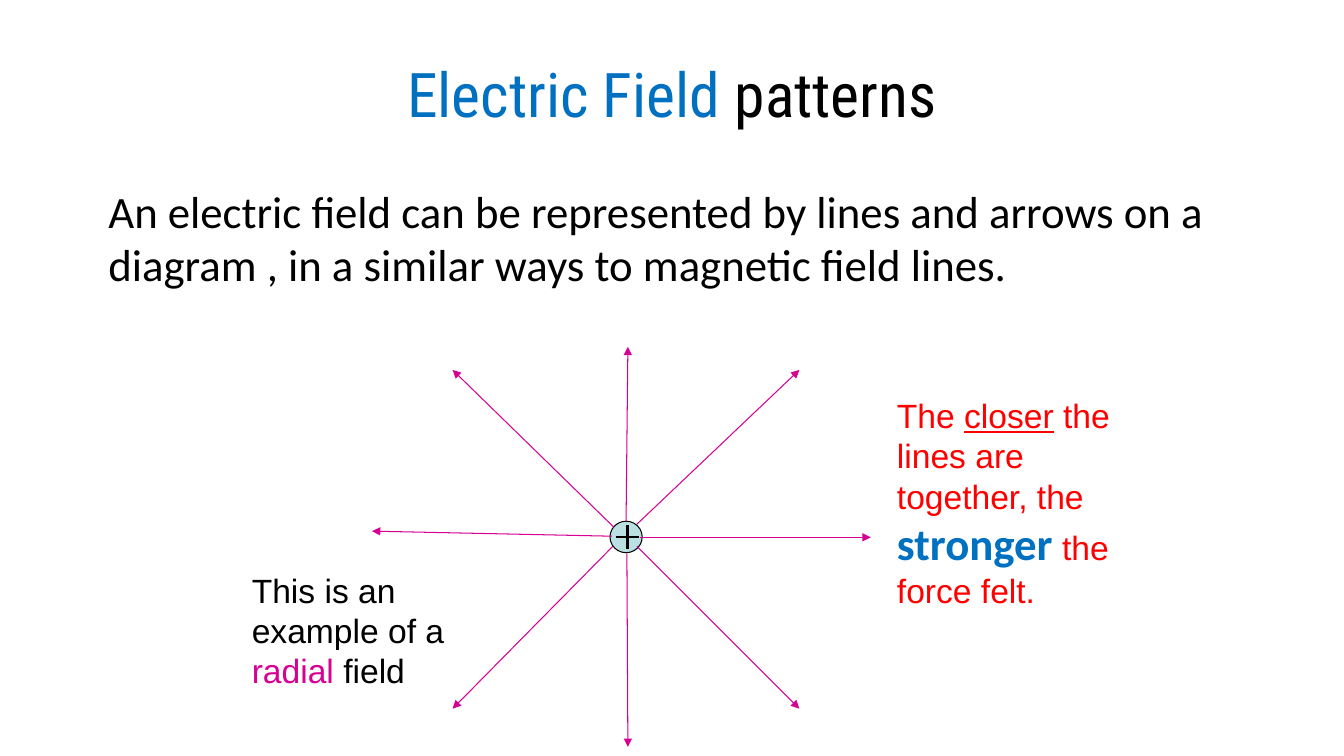
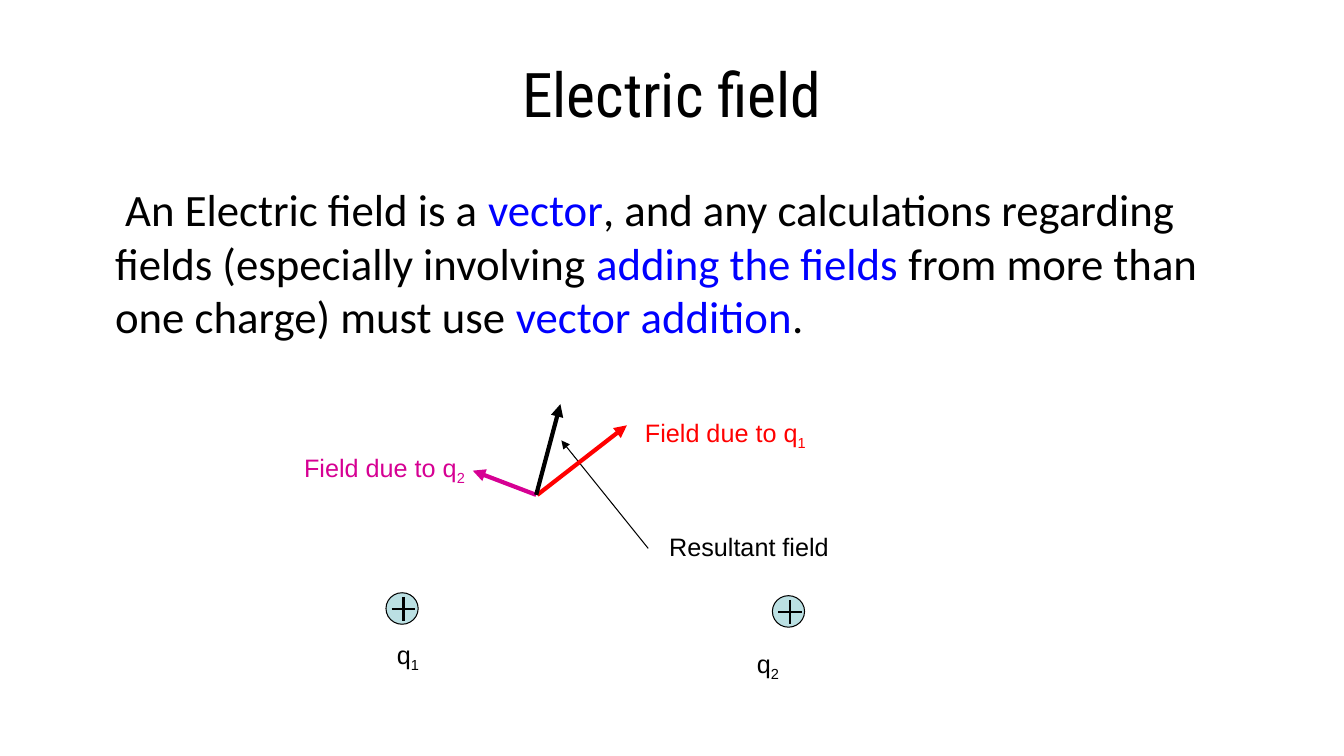
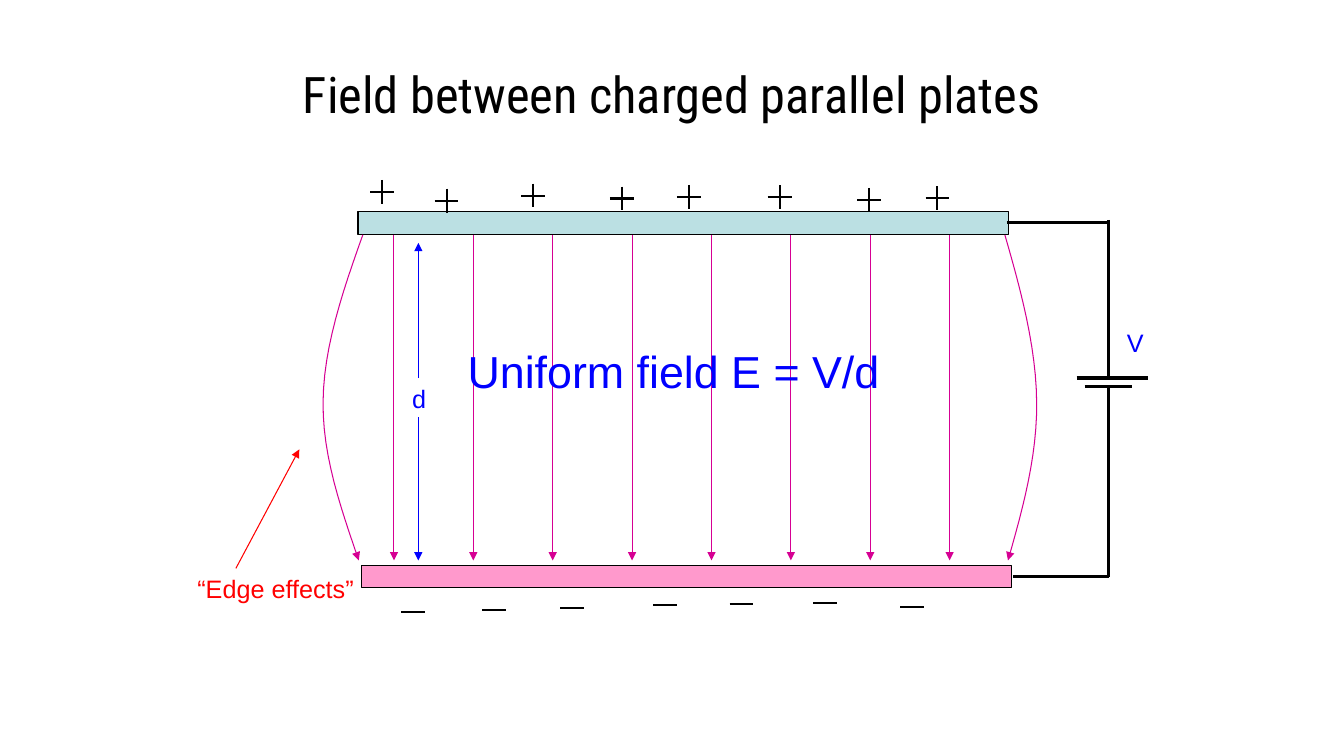
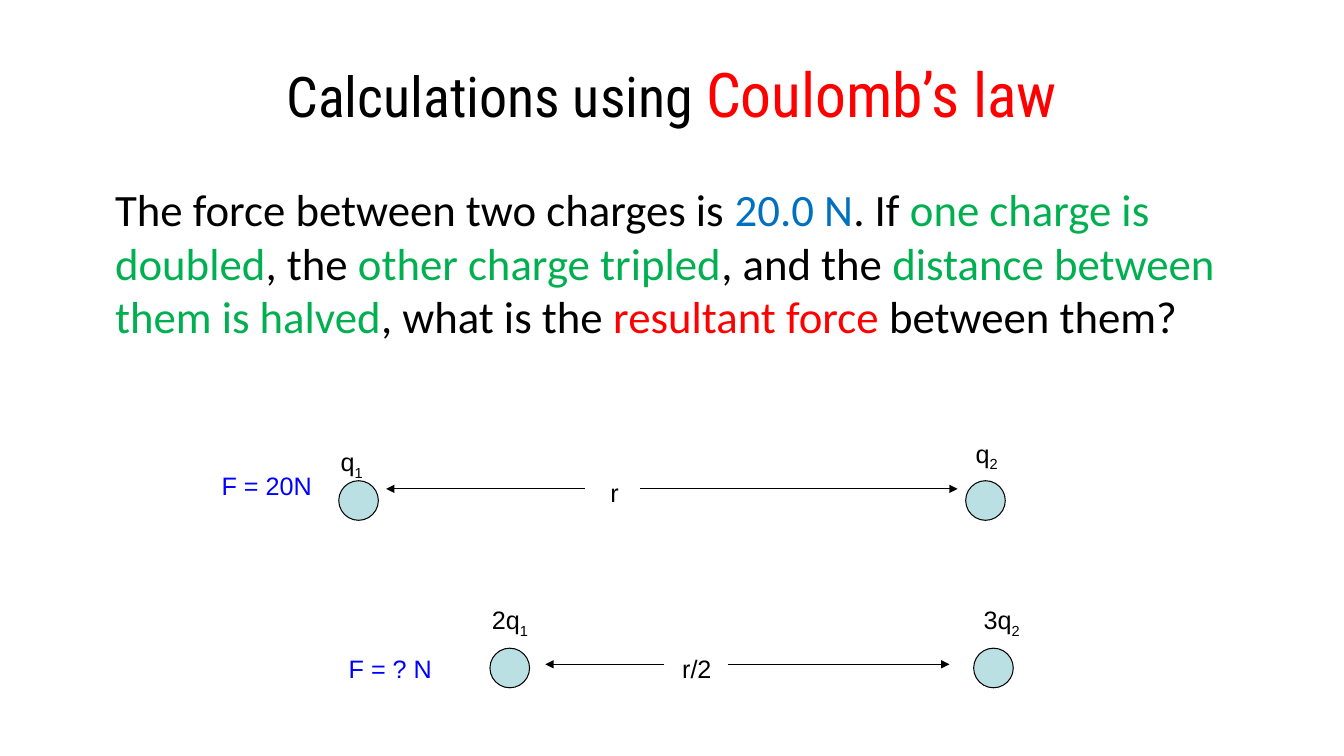
from dataclasses import dataclass
from itertools import pairwise

from lxml.etree import SubElement
from pptx import Presentation
from pptx.dml.color import RGBColor
from pptx.enum.shapes import MSO_CONNECTOR, MSO_SHAPE
from pptx.enum.text import MSO_ANCHOR, MSO_AUTO_SIZE, PP_ALIGN
from pptx.oxml.ns import qn
from pptx.util import Pt

# Colours and fonts
BLACK = RGBColor(0x00, 0x00, 0x00)
RED = RGBColor(0xFF, 0x00, 0x00)
BLUE = RGBColor(0x00, 0x00, 0xFF)
AZURE = RGBColor(0x00, 0x70, 0xC0)
GREEN = RGBColor(0x00, 0xB0, 0x50)
PURPLE = RGBColor(0xD6, 0x00, 0x93)
AQUA = RGBColor(0xBB, 0xE0, 0xE3)
PINK = RGBColor(0xFF, 0x99, 0xCC)
HEAD, BODY, LABEL = "Roboto Condensed", "Calibri", "Arial"


@dataclass
class Run:
    text: str
    color: RGBColor = BLACK
    size: float = 0
    font: str = ""
    bold: bool = False
    under: bool = False
    sub: bool = False


class Deck:
    """The shared style and the current slide."""

    def __init__(self):
        self.prs = Presentation()
        self.prs.slide_width, self.prs.slide_height = Pt(960), Pt(540)
        self.slide = None

    def place(self, shape, left, top, width, height):
        shape.left, shape.top = Pt(left), Pt(top)
        shape.width, shape.height = Pt(width), Pt(height)

    def fill(self, para, runs, font, size):
        for part in runs:
            run = para.add_run()
            run.text = part.text
            run.font.name = part.font or font
            run.font.size = Pt(part.size or size)
            run.font.color.rgb = part.color
            run.font.bold = part.bold
            run.font.underline = part.under
            if part.sub:
                run.font._element.set("baseline", "-25000")

    def start(self, *runs, size=44, layout=1):
        """Open a slide with its centred title."""
        self.slide = self.prs.slides.add_slide(self.prs.slide_layouts[layout])
        title = self.slide.shapes.title
        self.place(title, 48, 21.6, 864, 90)
        frame = title.text_frame
        frame.auto_size = MSO_AUTO_SIZE.NONE
        frame.vertical_anchor = MSO_ANCHOR.MIDDLE
        frame.paragraphs[0].alignment = PP_ALIGN.CENTER
        self.fill(frame.paragraphs[0], runs, HEAD, size)

    def body(self, *runs, left=48, top=126, width=864):
        """Fill the body with one indented paragraph without a bullet."""
        shape = self.slide.placeholders[1]
        self.place(shape, left, top, width, 356.4)
        shape.text_frame.auto_size = MSO_AUTO_SIZE.NONE
        para = shape.text_frame.paragraphs[0]
        props = para._p.get_or_add_pPr()
        props.set("marL", str(Pt(27)))
        props.set("indent", "0")
        SubElement(props, qn("a:buNone"))
        self.fill(para, runs, BODY, 32)

    def label(self, left, top, width, *runs, size=18, height=28.8):
        box = self.slide.shapes.add_textbox(
            Pt(left), Pt(top), Pt(width), Pt(height))
        frame = box.text_frame
        frame.word_wrap = True
        frame.auto_size = MSO_AUTO_SIZE.SHAPE_TO_FIT_TEXT
        self.fill(frame.paragraphs[0], runs, LABEL, size)

    def point(self, left, top, width, name, index, color=BLACK):
        """Label with a subscript."""
        self.label(left, top, width, Run(name, color),
                   Run(index, color, sub=True))

    def shape(self, kind, left, top, width, height, fill=AQUA):
        shape = self.slide.shapes.add_shape(
            kind, Pt(left), Pt(top), Pt(width), Pt(height))
        shape.shadow.inherit = False
        shape.fill.solid()
        shape.fill.fore_color.rgb = fill
        shape.line.color.rgb = BLACK
        shape.line.width = Pt(0.75)

    def stroke(self, shape, color, width, arrow):
        shape.line.color.rgb = color
        shape.line.width = Pt(width)
        if arrow:
            line = shape.element.spPr.find(qn("a:ln"))
            SubElement(line, qn("a:tailEnd"), type="triangle")

    def line(self, start, end, color=BLACK, width=0.75, arrow=False):
        link = self.slide.shapes.add_connector(
            MSO_CONNECTOR.STRAIGHT, *map(Pt, start + end))
        self.stroke(link, color, width, arrow)
        SubElement(link.element.spPr, qn("a:effectLst"))

    def arrow(self, start, end, color=BLACK, width=0.75):
        self.line(start, end, color, width, arrow=True)

    def curve(self, *knots, steps=12):
        """Arrow along joined cubic Bezier arcs."""
        dots = []
        for first in range(0, len(knots) - 1, 3):
            arc = knots[first:first + 4]
            for step in range(1, steps + 1):
                t = step / steps
                s = 1 - t
                mix = (s**3, 3 * s * s * t, 3 * s * t * t, t**3)
                dots.append(tuple(
                    Pt(sum(m * k[axis] for m, k in zip(mix, arc)))
                    for axis in (0, 1)))
        pen = self.slide.shapes.build_freeform(*map(Pt, knots[0]))
        pen.add_line_segments(dots, close=False)
        shape = pen.convert_to_shape()
        shape.shadow.inherit = False
        shape.fill.background()
        self.stroke(shape, PURPLE, 0.75, True)

    def minus(self, x, y):
        self.line((x - 8.5, y), (x + 8.5, y), width=1.5)

    def plus(self, x, y):
        self.minus(x, y)
        self.line((x, y - 8.5), (x, y + 8.5), width=1.5)

    def charge(self, x, y):
        self.shape(MSO_SHAPE.OVAL, x - 12.5, y - 11.5, 23, 22.5)
        self.plus(x, y)


def radial(deck):
    deck.start(Run("Electric Field ", AZURE), Run("patterns"))
    deck.body(Run("An electric field can be represented by lines and arrows "
                  "on a diagram , in a similar ways to magnetic field lines."),
              left=43.2, top=127.4, width=879)
    deck.charge(448.2, 383.8)
    # Field lines
    rays = [((455, 374.4), (571, 264.2)), ((457.2, 383.8), (622, 383.8)),
            ((455, 390.2), (571, 506.2)), ((447.8, 395.3), (448.5, 533.5)),
            ((437.8, 390.2), (323.3, 506.2)), ((437, 383), (265.7, 379.4)),
            ((438.5, 376.6), (323.3, 264.2)), ((447.2, 372.2), (448.5, 247.7))]
    for start, end in rays:
        deck.arrow(start, end, PURPLE)
    # Remarks
    deck.label(633.6, 278.6, 195.8, Run("The ", RED),
               Run("closer", RED, under=True),
               Run(" the lines are together, the ", RED),
               Run("stronger", AZURE, 32, BODY, bold=True),
               Run(" the force felt.", RED), size=24, height=162.7)
    deck.label(172.8, 403.2, 211, Run("This is an example of a "),
               Run("radial", PURPLE), Run(" field"), size=24, height=94.3)


def vectors(deck):
    deck.start(Run("Electric field"))
    deck.body(Run(" An Electric field is a "), Run("vector", BLUE),
              Run(", and any calculations regarding fields "
                  "(especially involving "),
              Run("adding the fields", BLUE),
              Run(" from more than one charge) must use "),
              Run("vector addition", BLUE), Run("."))
    # Charges
    deck.charge(288.2, 434.9)
    deck.charge(564.2, 437)
    deck.point(276.5, 452.9, 52.6, "q", "1")
    deck.point(533.5, 459.4, 52.6, "q", "2")
    # Field vectors
    deck.arrow((463, 391.7), (401, 314.6))
    deck.label(470.9, 375.8, 200, Run("Resultant field"))
    deck.arrow((383.8, 353.5), (447.8, 303.8), RED, 3)
    deck.point(453.6, 294.5, 228, "Field due to q", "1", RED)
    deck.arrow((383, 353.5), (337.7, 336.2), PURPLE, 3)
    deck.point(210.2, 319.7, 146.2, "Field due to q", "2", PURPLE)
    deck.arrow((383, 353.5), (400.3, 288.7), BLACK, 3)


def plates(deck):
    deck.start(Run("Field between charged parallel plates"),
               size=36, layout=5)
    # Plates and their charges
    deck.shape(MSO_SHAPE.RECTANGLE, 255.7, 151.4, 464.4, 16)
    for spot in [(272.9, 137), (319, 143.3), (380.9, 139.7), (444.2, 141.8),
                 (492, 140.5), (556.9, 140.8), (621, 142.7), (669.6, 141.4)]:
        deck.plus(*spot)
    deck.shape(MSO_SHAPE.RECTANGLE, 258.3, 404, 464.4, 16, PINK)
    for spot in [(295.2, 437), (352.8, 435.6), (408.6, 434.2), (475.2, 432),
                 (529.6, 431.3), (589.3, 430.6), (651.6, 433.4)]:
        deck.minus(*spot)
    # Circuit with a cell
    wires = [[(719.3, 158.8), (792, 158.8)],
             [(792, 157), (792, 270)],
             [(769, 270), (820, 270)],
             [(774.7, 275.8), (808.6, 275.8)],
             [(792, 275.8), (792, 411.8), (723.6, 411.8)]]
    for wire in wires:
        for start, end in pairwise(wire):
            deck.line(start, end, width=2.25)
    # Field lines, bowed at the edges
    for step in range(8):
        x = 281.4 + 56.7 * step
        deck.arrow((x, 167.8), (x, 400.3), PURPLE)
    deck.curve((259.2, 167.8), (244.8, 208), (231.1, 248.4), (230.8, 287.3),
               (230.4, 325.4), (243.4, 362.9), (256.3, 400.3))
    deck.curve((717.8, 167.8), (729.4, 208), (740.2, 248.4), (740.5, 287.3),
               (740.9, 325.4), (730.8, 362.9), (720, 400.3))
    # Labels
    deck.label(326.9, 241.9, 329, Run("Uniform field E = V/d", BLUE),
               size=32, height=45.4)
    deck.label(797.8, 230.4, 33.8, Run("V", BLUE))
    deck.label(287.3, 270, 33.8, Run("d", BLUE))
    deck.arrow((298.8, 270), (298.8, 173.5), BLUE)
    deck.arrow((298.8, 298), (298.8, 400.3), BLUE)
    deck.label(133.9, 406, 141.8, Run("“Edge effects”", RED))
    deck.arrow((168.5, 406), (213.8, 321), RED)


def coulomb(deck):
    deck.start(Run("Calculations using ", size=40), Run("Coulomb’s law", RED))
    deck.body(Run("The force between two charges is "), Run("20.0 N", AZURE),
              Run(". If "), Run("one charge is doubled", GREEN),
              Run(", the "), Run("other charge tripled", GREEN),
              Run(", and the "),
              Run("distance between them is halved", GREEN),
              Run(", what is the "), Run("resultant force ", RED),
              Run("between them?"))
    # Two pairs of charges
    for spot in [(242, 343.4), (689.8, 343.4), (350, 463), (695.5, 463)]:
        deck.shape(MSO_SHAPE.OVAL, *spot, 28.3, 28.3)
    deck.point(236.2, 315.4, 45.4, "q", "1")
    deck.point(689.8, 309.6, 56.9, "q", "2")
    deck.point(344.2, 428.4, 45.4, "2q", "1")
    deck.point(695.5, 428.4, 56.9, "3q", "2")
    # Distances
    deck.label(429, 337.7, 90.7, Run("r"))
    deck.label(480.2, 463, 90.7, Run("r/2"))
    for y, left, inner, outer, right in [(349.2, 275.8, 417.6, 457.2, 684),
                                         (474.5, 389.5, 474.5, 519.8, 678.2)]:
        deck.arrow((inner, y), (left, y))
        deck.arrow((outer, y), (right, y))
    # Forces
    deck.label(151.2, 332.6, 79.2, Run("F = 20N", BLUE))
    deck.label(242, 463, 79.2, Run("F = ? N", BLUE))


def main():
    deck = Deck()
    for build in (radial, vectors, plates, coulomb):
        build(deck)
    deck.prs.save("out.pptx")


if __name__ == "__main__":
    main()
